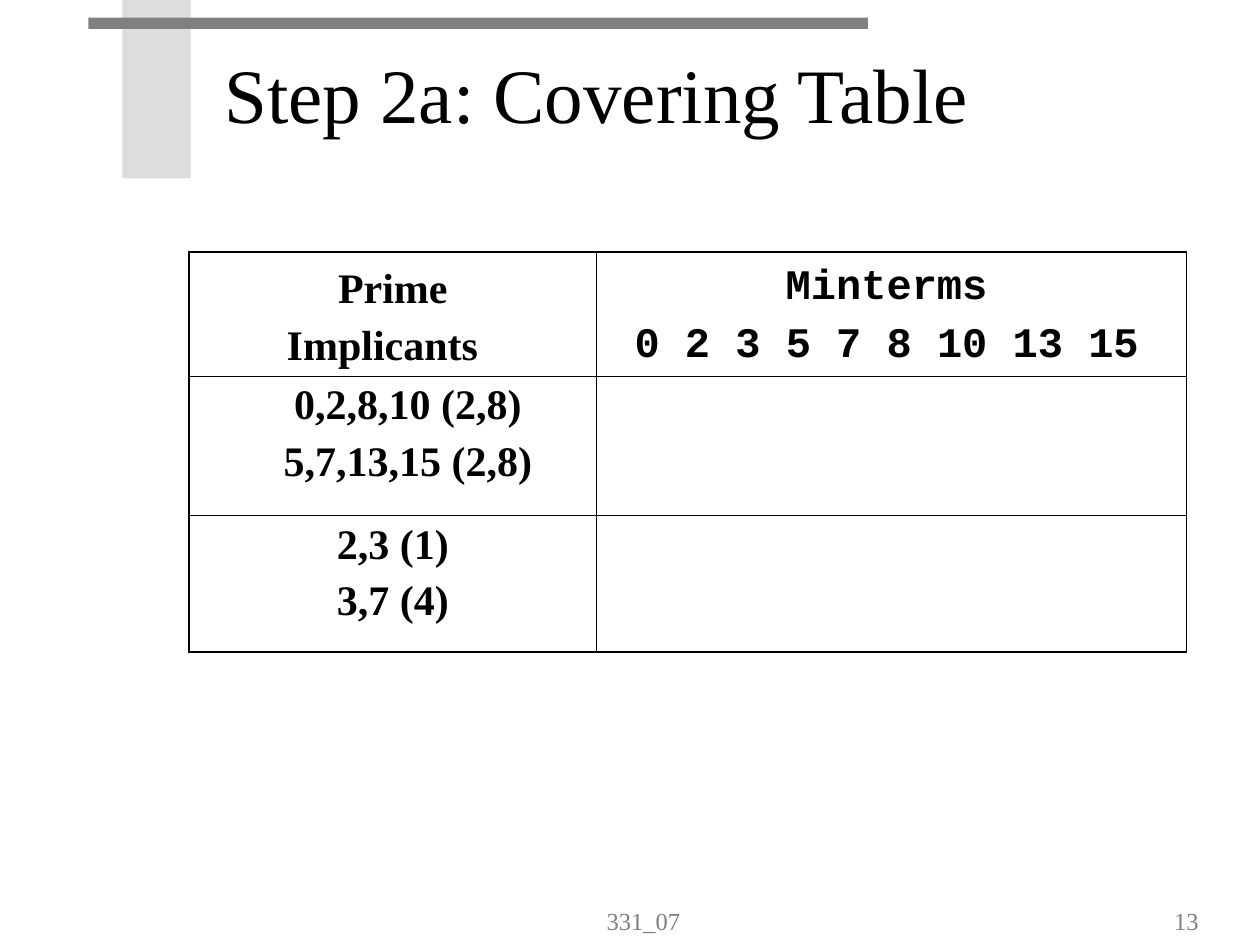
import pptx
import pptx.util
import pptx.dml.color
import pptx.enum.shapes
import pptx.enum.text
from lxml import etree

Pt = pptx.util.Pt
ALIGN = pptx.enum.text.PP_ALIGN
ANCHOR = pptx.enum.text.MSO_ANCHOR
COLORS = {"ink": "000000", "band": "DDDDDD", "grey": "808080"}
SERIF, MONO = "Times New Roman", "Courier New"
OUTER, INNER = 1.08, 0.45


def rgb(name):
    return pptx.dml.color.RGBColor.from_string(COLORS[name])


def write(frame, text, size=24, font=SERIF, color="ink", bold=False,
          align=ALIGN.CENTER, spacing=None, left_indents=(), right_indents=()):
    """Put one paragraph per line of text; indents are points per paragraph."""
    frame.word_wrap = True
    for i, line in enumerate(text.split("\n")):
        para = frame.paragraphs[0] if i == 0 else frame.add_paragraph()
        for side, indents in (("marL", left_indents), ("marR", right_indents)):
            if indents:
                para._p.get_or_add_pPr().set(side, str(Pt(indents[i])))
        para.alignment = align
        para.space_before = Pt(6 if i else 0)
        if spacing:
            para.line_spacing = spacing
        run = para.add_run()
        run.text = line
        run.font.size, run.font.name, run.font.bold = Pt(size), font, bold
        run.font.color.rgb = rgb(color)


def add_bar(slide, left, top, width, height, color):
    bar = slide.shapes.add_shape(pptx.enum.shapes.MSO_SHAPE.RECTANGLE,
                                 Pt(left), Pt(top), Pt(width), Pt(height))
    bar.shadow.inherit = False
    bar.fill.solid()
    bar.fill.fore_color.rgb = rgb(color)
    bar.line.fill.background()


def add_heading(slide, left, top, width, height):
    """Place the title with the two decorative bars at its upper left."""
    add_bar(slide, left - 51, top - 12, 39, height + 12, "band")
    add_bar(slide, left - 70.5, top - 2, 445.5, 6.5, "grey")
    title = slide.shapes.title
    title.left, title.top = Pt(left), Pt(top)
    title.width, title.height = Pt(width), Pt(height)
    frame = title.text_frame
    frame.auto_size = pptx.enum.text.MSO_AUTO_SIZE.NONE
    frame.vertical_anchor = ANCHOR.MIDDLE
    write(frame, "Step 2a: Covering Table", size=44, align=ALIGN.LEFT, spacing=0.85)


def set_borders(cell, **widths):
    """Draw the cell's sides, given in the order L, R, T, B."""
    properties = cell._tc.get_or_add_tcPr()
    namespace = properties.nsmap["a"]
    for side, width in widths.items():
        line = etree.SubElement(properties, f"{{{namespace}}}ln{side}", w=str(Pt(width)))
        fill = etree.SubElement(line, f"{{{namespace}}}solidFill")
        etree.SubElement(fill, f"{{{namespace}}}srgbClr", val=COLORS["ink"])


def add_covering_table(slide, left, top, column_widths, row_heights):
    rows, columns = len(row_heights), len(column_widths)
    table = slide.shapes.add_table(
        rows, columns, Pt(left), Pt(top),
        Pt(sum(column_widths)), Pt(sum(row_heights))).table
    table.first_row = table.horz_banding = False
    for column, width in zip(table.columns, column_widths):
        column.width = Pt(width)
    for row, height in zip(table.rows, row_heights):
        row.height = Pt(height)

    for r in range(rows):
        for c in range(columns):
            cell = table.cell(r, c)
            set_borders(cell,
                        L=INNER if c else OUTER,
                        R=OUTER if c == columns - 1 else INNER,
                        T=INNER if r else OUTER,
                        B=OUTER if r == rows - 1 else INNER)
            cell.fill.background()
            cell.vertical_anchor = ANCHOR.TOP if r else ANCHOR.BOTTOM

    character = 14.4  # advance of the 24 pt monospaced font
    contents = {
        (0, 0): ("Prime\nImplicants", dict(right_indents=(0, 12))),
        (0, 1): ("Minterms\n0 2 3 5 7 8 10 13 15",
                 dict(font=MONO, align=ALIGN.LEFT,
                      left_indents=(7 * character, character))),
        (1, 0): ("0,2,8,10 (2,8)\n5,7,13,15 (2,8)", dict(left_indents=(17, 17))),
        (2, 0): ("2,3 (1)\n3,7 (4)", {}),
    }
    for position, (text, layout) in contents.items():
        write(table.cell(*position).text_frame, text, bold=True, **layout)


def add_footer(slide, left, top, width, height, text, align):
    footer = slide.shapes.add_textbox(Pt(left), Pt(top), Pt(width), Pt(height))
    footer.text_frame.vertical_anchor = ANCHOR.BOTTOM
    write(footer.text_frame, text, size=14, color="grey", align=align)


def main():
    deck = pptx.Presentation()
    deck.slide_width, deck.slide_height = Pt(720), Pt(540)
    slide = deck.slides.add_slide(deck.slide_layouts[5])
    add_heading(slide, 121, 12, 581, 90)
    add_covering_table(slide, 108, 144, (233, 337), (71, 79.5, 78))
    add_footer(slide, 246, 502, 243.5, 36, "331_07", ALIGN.CENTER)
    add_footer(slide, 519, 502, 173, 36, "13", ALIGN.RIGHT)
    deck.save("out.pptx")


if __name__ == "__main__":
    main()
